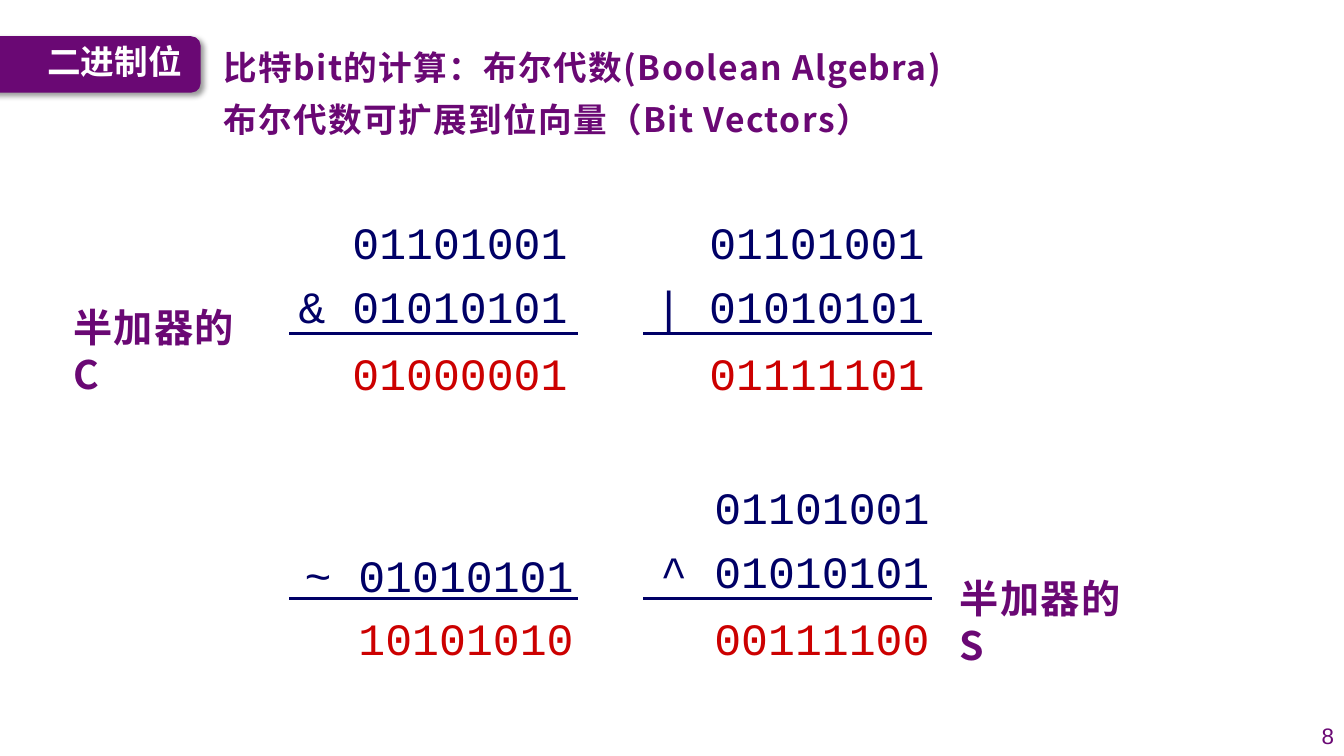
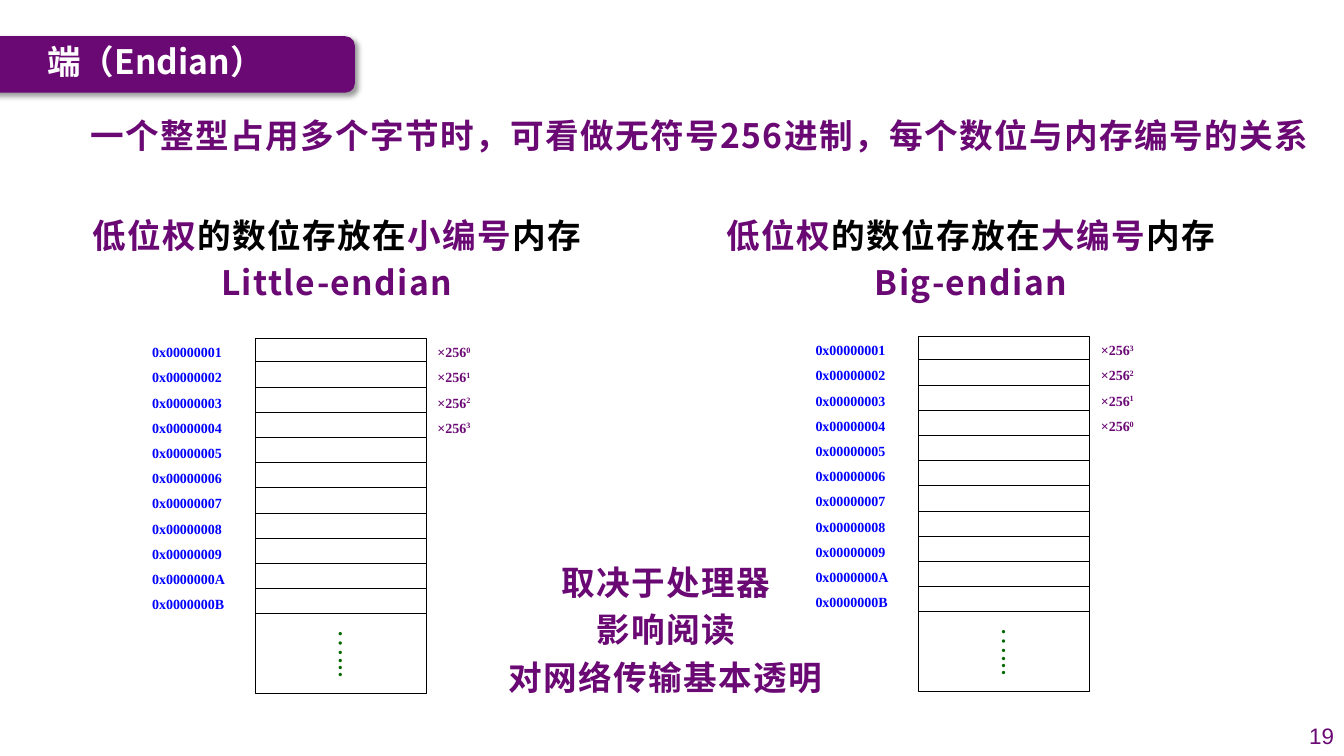
from lxml import etree
from pptx import Presentation
from pptx.dml.color import RGBColor
from pptx.enum import shapes as kinds, text as styles
from pptx.oxml import ns
from pptx.util import Inches, Pt

PURPLE = RGBColor(0x6A, 0x08, 0x74)
NAVY = RGBColor(0x00, 0x00, 0x66)
RED = RGBColor(0xCC, 0x00, 0x00)
BLUE = RGBColor(0x00, 0x00, 0xFF)
GREEN = RGBColor(0x00, 0x66, 0x00)
BLACK = RGBColor(0x00, 0x00, 0x00)
WHITE = RGBColor(0xFF, 0xFF, 0xFF)

SANS, MONO, SERIF, PLAIN = "Noto Sans CJK SC", "Courier New", "Times New Roman", "Arial"
LEFT, CENTER, RIGHT = (styles.PP_ALIGN.LEFT, styles.PP_ALIGN.CENTER,
                       styles.PP_ALIGN.RIGHT)
TOP, MIDDLE = styles.MSO_ANCHOR.TOP, styles.MSO_ANCHOR.MIDDLE

HEADING = dict(font=SANS, size=24, bold=True, tracking=1, leading=1.2)
DIGITS = dict(font=MONO, size=32, align=RIGHT, leading=1.2, gap=7,
              insets=(0.06, 0.06, 0.1, 0.06))
CELL_LABEL = dict(font=SERIF, size=10, bold=True)


# Text

def format_text(frame, paragraphs, font=SANS, size=24, color=PURPLE, bold=False,
                align=LEFT, anchor=TOP, tracking=0, leading=None, gap=None,
                insets=(0.1, 0.05, 0.1, 0.05), wrap=True):
    """Fill a frame; a paragraph is a string or a list of (text, color, raised)."""
    frame.auto_size = styles.MSO_AUTO_SIZE.NONE
    frame.word_wrap = wrap
    frame.vertical_anchor = anchor
    (frame.margin_left, frame.margin_top,
     frame.margin_right, frame.margin_bottom) = map(Inches, insets)
    for index, content in enumerate(paragraphs):
        para = frame.add_paragraph() if index else frame.paragraphs[0]
        para.alignment = align
        if leading:
            para.line_spacing = Pt(size * leading)
        if index:
            para.space_before = Pt(size * 0.2 if gap is None else gap)
        spans = [(content, color, False)] if isinstance(content, str) else content
        for words, tint, raised in spans:
            span = para.add_run()
            span.text = words
            span.font.name = font
            span.font.size = Pt(size)
            span.font.bold = bold
            span.font.color.rgb = tint
            props = span.font._element
            etree.SubElement(props, ns.qn("a:ea")).set("typeface", font)
            if tracking:
                props.set("spc", str(tracking * 100))
            if raised:
                props.set("baseline", "30000")


def add_text(shapes, left, top, width, height, *paragraphs, **options):
    box = shapes.add_textbox(*map(Inches, (left, top, width, height)))
    format_text(box.text_frame, paragraphs, **options)
    return box


# Lines

def add_rule(shapes, left, top, width, color, weight):
    rule = shapes.add_connector(
        kinds.MSO_CONNECTOR.STRAIGHT,
        *map(Inches, (left, top, left + width, top)))
    rule.line.color.rgb = color
    rule.line.width = Pt(weight)
    etree.SubElement(rule.element.spPr, ns.qn("a:effectLst"))


# Parts every slide has

def add_page(deck, title, tab_right, number):
    page = deck.slides.add_slide(deck.slide_layouts[5])
    heading = page.shapes.title
    heading.left, heading.top, heading.width, heading.height = map(
        Inches, (0.37, 0.36, tab_right - 0.38, 0.55))
    format_text(heading.text_frame, [title], color=WHITE, bold=True, leading=1.2)

    # Tab behind the title, running in from the left edge
    tab = page.shapes.add_shape(
        kinds.MSO_SHAPE.ROUNDED_RECTANGLE,
        *map(Inches, (-0.81, 0.36, tab_right + 0.81, 0.56)))
    tab.fill.solid()
    tab.fill.fore_color.rgb = PURPLE
    tab.line.fill.background()
    tab.shadow.inherit = False
    effects = tab.element.spPr.find(ns.qn("a:effectLst"))
    shadow = etree.SubElement(effects, ns.qn("a:outerShdw"), blurRad=str(Pt(4)),
                              dist=str(Pt(3)), dir="2700000", algn="tl",
                              rotWithShape="0")
    tint = etree.SubElement(shadow, ns.qn("a:srgbClr"), val="000000")
    etree.SubElement(tint, ns.qn("a:alpha"), val="40000")
    heading.element.addprevious(tab.element)

    # Page number
    add_text(page.shapes, 12.78, 7.1, 0.55, 0.4, number, font=PLAIN, size=16,
             align=RIGHT, anchor=MIDDLE)
    return page


# Slide on Boolean algebra

def add_sum(shapes, left, top, right, operands, result):
    """Operands above a rule that starts at left, top; digits end at right."""
    width, count = 3.2, len(operands)
    rise = 0.67 * count - 0.1
    add_text(shapes, right - width, top - rise, width, 0.65 * count, *operands,
             color=NAVY, **DIGITS)
    add_rule(shapes, left, top, 2.86, NAVY, 2)
    add_text(shapes, right - width, top + 0.06, width, 0.65, result,
             color=RED, **DIGITS)


def build_boolean_slide(deck):
    page = add_page(deck, "二进制位", 1.99, "8")
    shapes = page.shapes
    headings = ("比特bit的计算：布尔代数(Boolean Algebra)",
                "布尔代数可扩展到位向量（Bit Vectors）")
    for row, words in enumerate(headings):
        add_text(shapes, 2.12, 0.42 + 0.51 * row, 7.58, 0.5, words, **HEADING)

    first, second = "01101001", "01010101"
    sums = (
        (2.87, 3.31, 5.73, (first, "& " + second), "01000001"),
        (6.38, 3.31, 9.27, (first, "| " + second), "01111101"),
        (2.87, 5.94, 5.79, ("~ " + second,), "10101010"),
        (6.38, 5.94, 9.32, (first, "^ " + second), "00111100"),
    )
    for values in sums:
        add_sum(shapes, *values)

    # Half adder outputs
    note = dict(HEADING, size=28)
    add_text(shapes, 0.63, 2.96, 1.9, 1.05, "半加器的C", **note)
    add_text(shapes, 9.42, 5.65, 1.9, 1.05, "半加器的S", **note)


# Slide on byte order

def add_memory(page, left, top, powers):
    """A column of cells with addresses on its left and weights on its right."""
    shapes = page.shapes.add_group_shape().shapes
    width, height, pitch, cells = 1.7, 3.52, 0.25, 11
    frame = shapes.add_shape(kinds.MSO_SHAPE.RECTANGLE,
                             *map(Inches, (left, top, width, height)))
    frame.fill.background()
    frame.line.color.rgb = BLACK
    frame.line.width = Pt(0.75)
    frame.shadow.inherit = False
    for cell in range(cells):
        offset = top + pitch * cell
        add_rule(shapes, left, offset + 0.23, width, BLACK, 0.75)
        add_text(shapes, left - 1.12, offset, 0.95, 0.27, f"0x{cell + 1:08X}",
                 color=BLUE, **CELL_LABEL)
    for cell, power in enumerate(powers):
        add_text(shapes, left + 1.71, top + pitch * cell, 0.62, 0.27,
                 [("×256", PURPLE, False), (str(power), PURPLE, True)],
                 **CELL_LABEL)
    dots = add_text(shapes, left + 0.62, top + 2.79, 0.54, 0.59, "…...",
                    font=SERIF, size=20, color=GREEN, align=CENTER, wrap=False)
    dots.text_frame._txBody.bodyPr.set("vert", "eaVert")


def add_order_heading(shapes, left, top, place, name):
    add_text(shapes, left, top, 5.08, 0.99,
             [("低位权", PURPLE, False), ("的数位存放在", BLACK, False),
              (place, PURPLE, False), ("内存", BLACK, False)],
             name, align=CENTER, **HEADING)


def build_endian_slide(deck):
    page = add_page(deck, "端（Endian）", 3.52, "19")
    shapes = page.shapes
    add_text(shapes, 0.8, 1.09, 12.36, 0.95,
             "一个整型占用多个字节时，可看做无符号256进制，每个数位与内存编号的关系",
             **HEADING)
    add_order_heading(shapes, 0.8, 2.08, "小编号", "Little-endian")
    add_order_heading(shapes, 7.09, 2.08, "大编号", "Big-endian")
    add_memory(page, 2.53, 3.36, range(4))
    add_memory(page, 9.11, 3.34, reversed(range(4)))
    add_text(shapes, 4.06, 5.53, 5.08, 1.47, "取决于处理器", "影响阅读",
             "对网络传输基本透明", align=CENTER, **HEADING)


def main():
    deck = Presentation()
    deck.slide_width, deck.slide_height = Inches(13.33), Inches(7.5)
    build_boolean_slide(deck)
    build_endian_slide(deck)
    deck.save("out.pptx")


if __name__ == "__main__":
    main()
